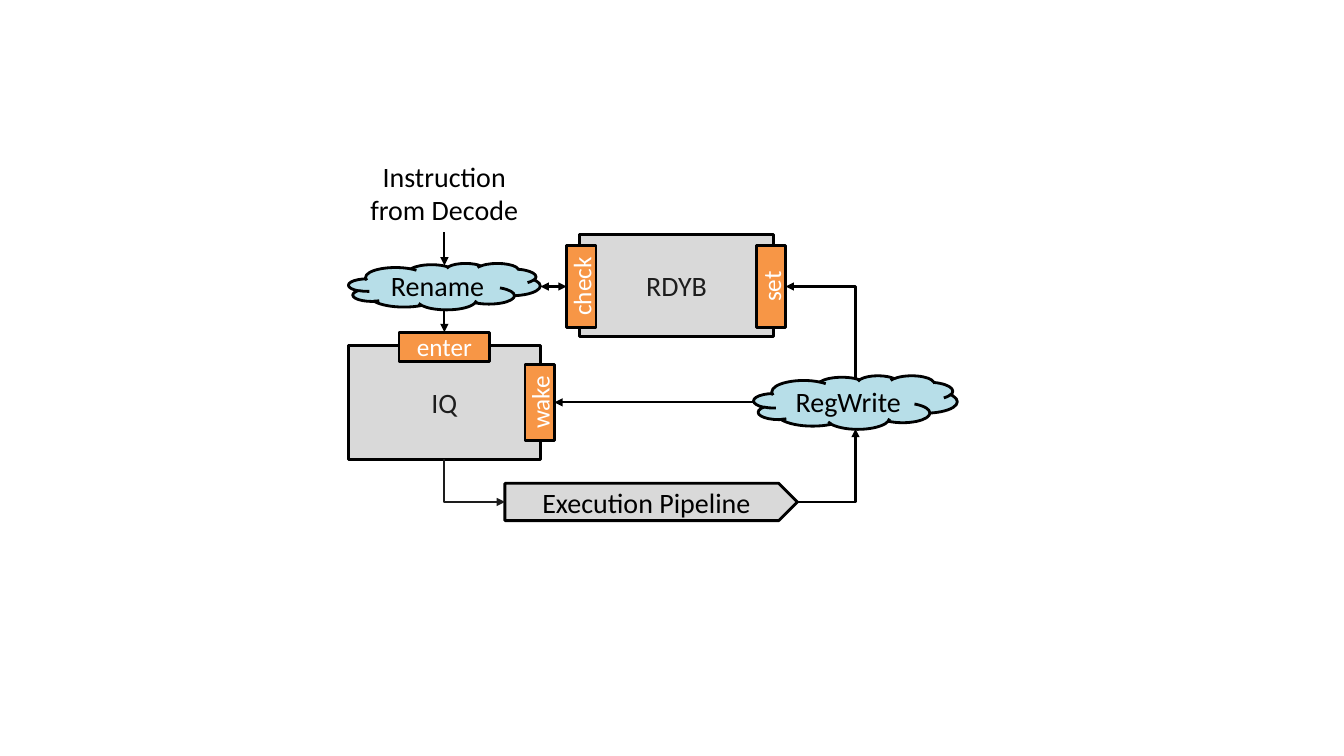
from pptx import Presentation
from pptx.dml.color import RGBColor
from pptx.enum.shapes import MSO_CONNECTOR as Link, MSO_SHAPE as Kind
from pptx.enum.text import MSO_ANCHOR as Anchor, PP_ALIGN as Align
from pptx.oxml.ns import qn
from pptx.util import Cm, Pt
from lxml.etree import SubElement

BLACK, DARK, WHITE = "000000", "1D1D1D", "FFFFFF"
BLUE, GRAY, ORANGE = "B7DEE8", "D9D9D9", "F79646"


def color(code):
    return RGBColor.from_string(code)


def write(shape, text, size, ink, wrap):
    frame = shape.text_frame
    frame.word_wrap = wrap
    frame.vertical_anchor = Anchor.TOP if wrap else Anchor.MIDDLE
    frame.text = text
    para = frame.paragraphs[0]
    para.alignment = Align.CENTER
    para.font.name = "Calibri"
    para.font.size = Pt(size)
    para.font.color.rgb = color(ink)


deck = Presentation()
deck.slide_width, deck.slide_height = Cm(33.87), Cm(19.05)
slide = deck.slides.add_slide(deck.slide_layouts[6])
shapes = slide.shapes

left, right = 11.2, 21.56
top, mid, low = 7.22, 10.14, 12.65

label = shapes.add_textbox(Cm(8.97), Cm(3.89), Cm(4.45), Cm(1.96))
write(label, "Instruction from Decode", 20, BLACK, True)

blocks = [
    ("RegWrite", Kind.CLOUD, right, mid, 5.13, 1.35, BLUE, BLACK, 2),
    ("Rename", Kind.CLOUD, left, top, 4.83, 1.17, BLUE, BLACK, 2),
    ("Execution Pipeline", Kind.PENTAGON, 16.41, low, 7.37, 0.94, GRAY, BLACK, 2),
    ("IQ", Kind.RECTANGLE, left, 10.15, 4.83, 2.87, GRAY, DARK, 2.25),
    ("RDYB", Kind.RECTANGLE, 17.05, 7.2, 4.88, 2.57, GRAY, DARK, 2.25),
]
ports = [
    ("enter", left, 8.74, 2.29, 0),
    ("wake", 13.6, mid, 1.9, 270),
    ("check", 14.65, top, 2.08, 270),
    ("set", 19.43, top, 2.08, 270),
]
items = [(*block, 20, 0) for block in blocks]
items += [
    (name, Kind.RECTANGLE, x, y, wide, 0.74, ORANGE, WHITE, 2, 18, turn)
    for name, x, y, wide, turn in ports
]

for name, kind, x, y, wide, high, fill, ink, edge, size, turn in items:
    shape = shapes.add_shape(
        kind, Cm(x - wide / 2), Cm(y - high / 2), Cm(wide), Cm(high)
    )
    shape.shadow.inherit = False
    shape.rotation = turn
    shape.fill.solid()
    shape.fill.fore_color.rgb = color(fill)
    shape.line.color.rgb = color(BLACK)
    shape.line.width = Pt(edge)
    write(shape, name, size, ink, False)

START, END = ["headEnd"], ["tailEnd"]
arrows = [
    (left, 5.85, left, 6.69, END, BLACK),
    (left, 7.8, left, 8.37, END, BLACK),
    (13.62, top, 14.28, top, START + END, BLACK),
    (19, mid, 13.97, mid, END, BLACK),
    (19.8, top, right, 9.54, START, BLACK),
    (20.09, low, right, 10.81, END, BLACK),
    (12.73, low, left, 11.57, START, DARK),
]
for x1, y1, x2, y2, ends, ink in arrows:
    arrow = shapes.add_connector(Link.STRAIGHT, Cm(x1), Cm(y1), Cm(x2), Cm(y2))
    arrow.line.color.rgb = color(ink)
    arrow.line.width = Pt(1.5)
    props = arrow._element.spPr
    if x1 != x2 and y1 != y2:
        props.find(qn("a:prstGeom")).set("prst", "bentConnector2")
    for end in ends:
        SubElement(props.find(qn("a:ln")), qn("a:" + end), type="triangle")
    SubElement(props, qn("a:effectLst"))

deck.save("out.pptx")
